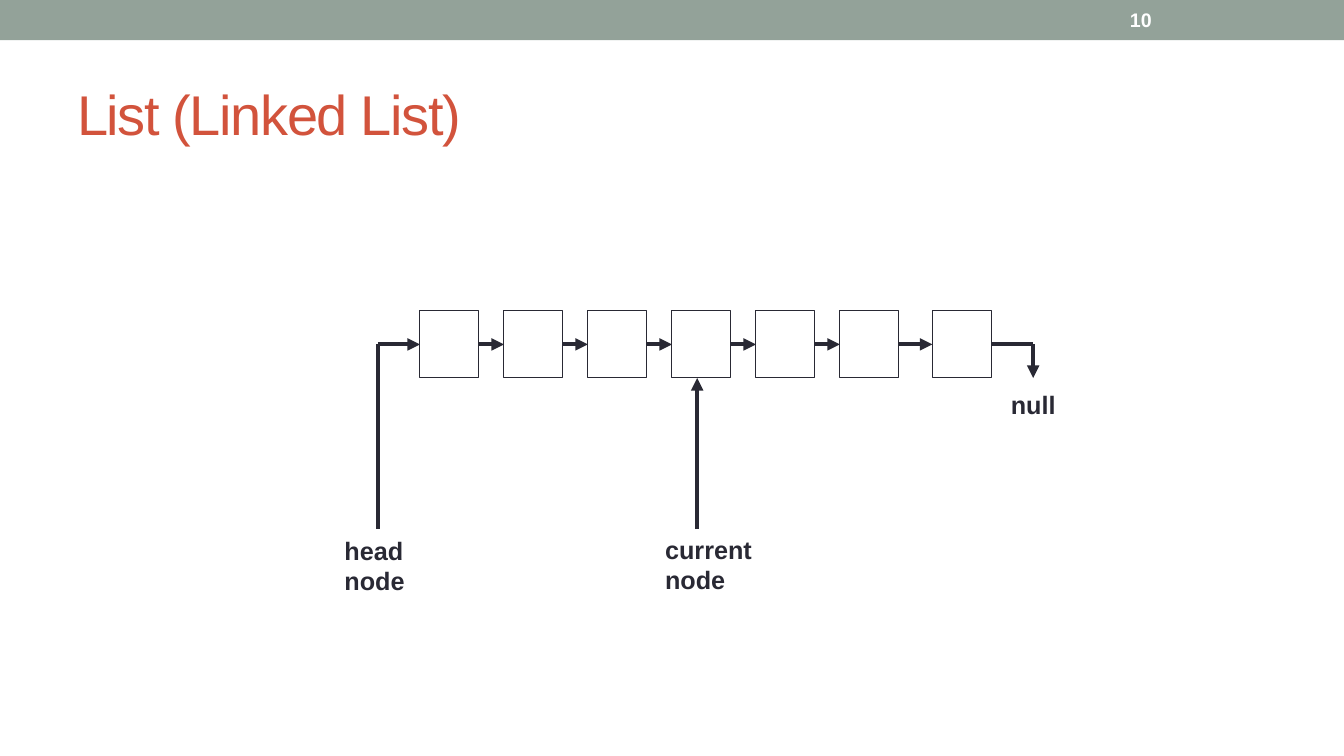
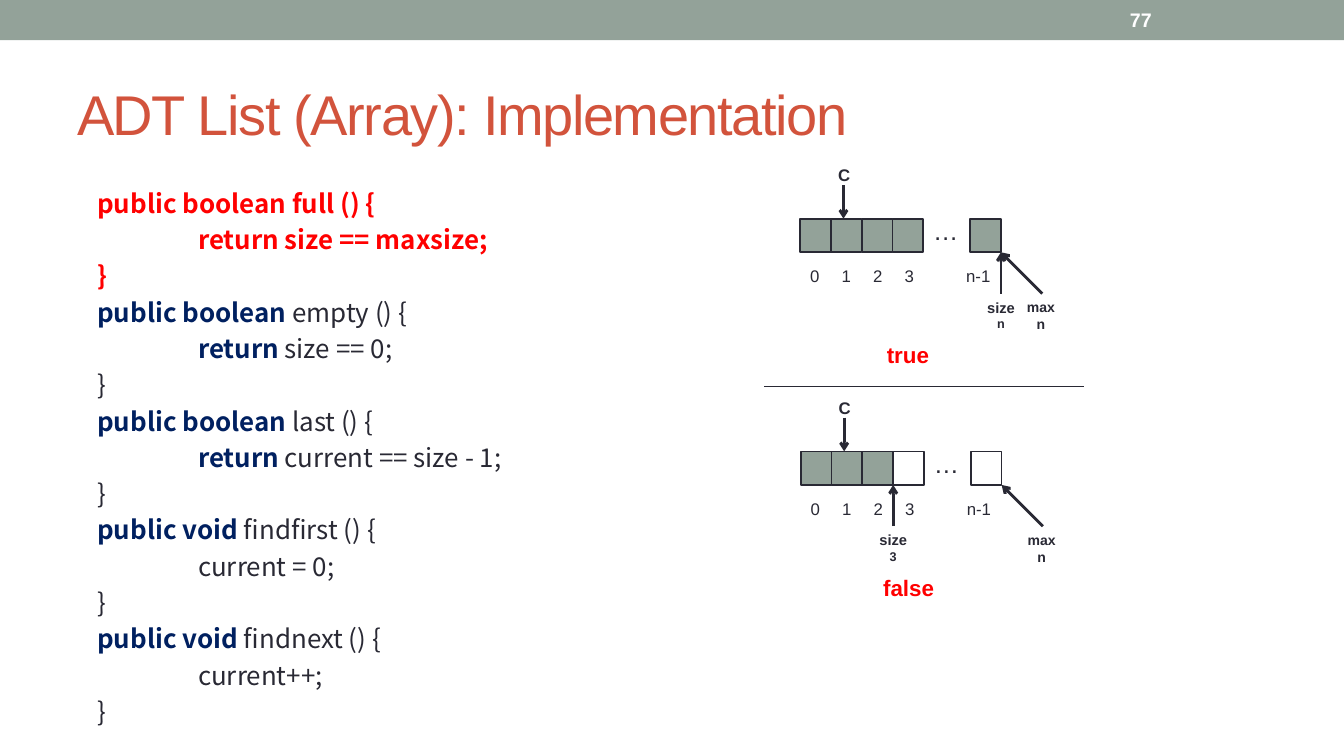
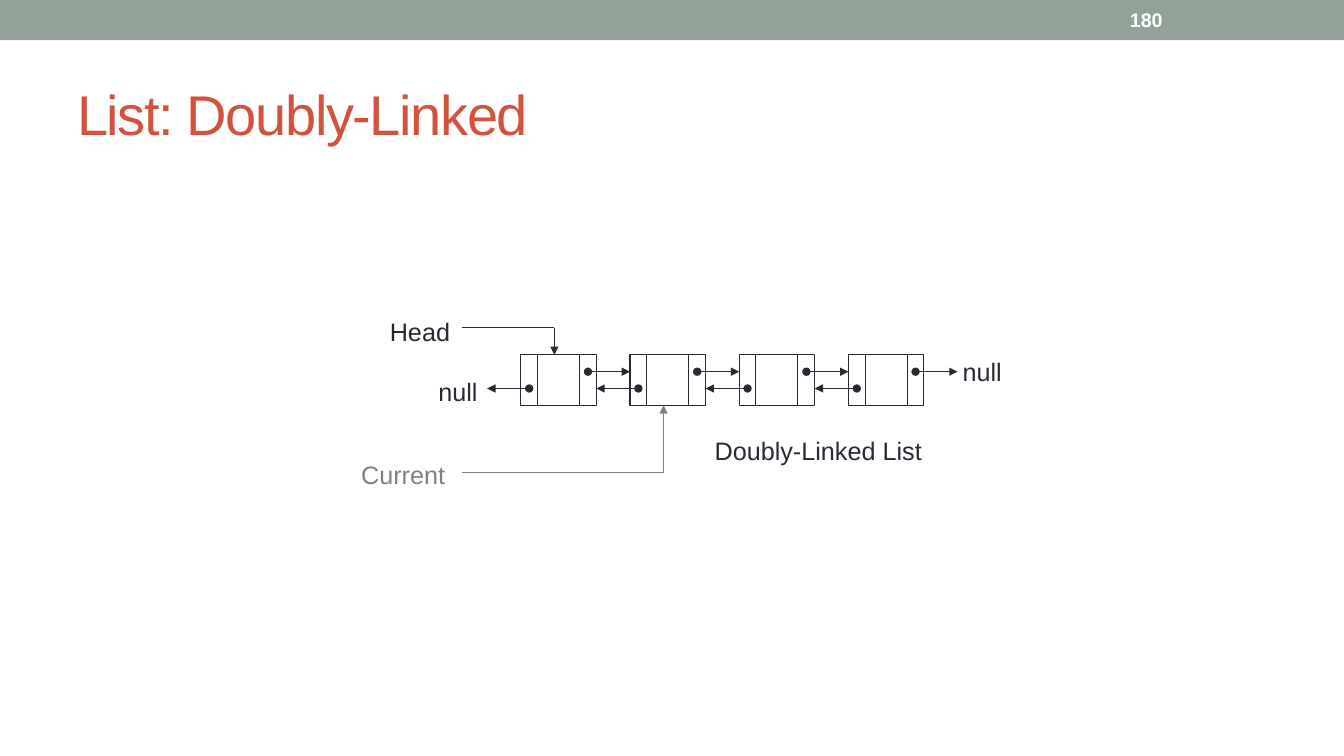
from lxml.etree import SubElement
from pptx import Presentation
from pptx.dml.color import RGBColor
from pptx.enum.shapes import MSO_CONNECTOR, MSO_SHAPE
from pptx.enum.text import MSO_ANCHOR, PP_ALIGN
from pptx.oxml.ns import qn
from pptx.util import Pt

COLORS = {"sage": "93A299", "title": "D2533C", "ink": "292934", "gray": "808080",
          "white": "FFFFFF", "alert": "FF0000", "keyword": "002060"}
SLIDE_W, SLIDE_H = 960, 540
FONT, CODE_FONT = "Arial", "Noto Sans CJK SC"


def rgb(color):
    """Look up a named colour."""
    return RGBColor.from_string(COLORS[color])


def add_run(paragraph, text, size, color="ink", bold=False, font=FONT):
    """Append one formatted run."""
    run = paragraph.add_run()
    run.text = text
    run.font.name, run.font.size, run.font.bold = font, Pt(size), bold
    run.font.color.rgb = rgb(color)
    return run


def add_frame(slide, box, anchor=MSO_ANCHOR.TOP, wrap=False):
    """Add an empty text box and return its frame."""
    frame = slide.shapes.add_textbox(*map(Pt, box)).text_frame
    frame.word_wrap, frame.vertical_anchor = wrap, anchor
    return frame


def add_label(slide, box, lines, size, color="ink", bold=False,
              align=PP_ALIGN.LEFT, anchor=MSO_ANCHOR.TOP):
    """Add a label; size may be one number or one per line."""
    frame = add_frame(slide, box, anchor)
    sizes = size if isinstance(size, tuple) else (size,) * len(lines)
    for i, (line, points) in enumerate(zip(lines, sizes)):
        paragraph = frame.add_paragraph() if i else frame.paragraphs[0]
        paragraph.alignment = align
        add_run(paragraph, line, points, color, bold)


def add_rect(slide, box, fill=None, line_width=None):
    """Add a rectangle with an optional fill and outline."""
    rect = slide.shapes.add_shape(MSO_SHAPE.RECTANGLE, *map(Pt, box))
    rect.shadow.inherit = False
    if fill:
        rect.fill.solid()
        rect.fill.fore_color.rgb = rgb(fill)
    else:
        rect.fill.background()
    if line_width:
        rect.line.color.rgb = rgb("ink")
        rect.line.width = Pt(line_width)
    else:
        rect.line.fill.background()


def add_line(slide, start, end, width=0.75, color="ink", head=None, tail=None):
    """Add a straight line, with optional ends at start and end."""
    connector = slide.shapes.add_connector(MSO_CONNECTOR.STRAIGHT, *map(Pt, start + end))
    connector.line.color.rgb = rgb(color)
    connector.line.width = Pt(width)
    properties = connector.element.spPr
    outline = properties.find(qn("a:ln"))
    for tag, kind in (("a:headEnd", head), ("a:tailEnd", tail)):
        if kind:
            SubElement(outline, qn(tag)).set("type", kind)
    SubElement(properties, qn("a:effectLst"))


def add_base(deck, title, number):
    """Start a slide with its band, title and slide number."""
    slide = deck.slides.add_slide(deck.slide_layouts[6])
    add_rect(slide, (0, 0, SLIDE_W, 28.8), "sage")
    heading = add_frame(slide, (48, 42, 864, 78), MSO_ANCHOR.MIDDLE, wrap=True)
    run = add_run(heading.paragraphs[0], title, 40, "title")
    run.font._element.set("spc", "-100")
    page = add_frame(slide, (800, 1.4, 112, 26), MSO_ANCHOR.MIDDLE, wrap=True)
    add_run(page.paragraphs[0], number, 14, "white", True)
    return slide


def draw_linked_list(slide, left, top):
    """Draw a singly linked chain with head, current and null."""
    node_w, node_h, thick = 42, 48, 3
    middle, bottom, label_top = top + node_h / 2, top + node_h, top + 156
    nodes = [left + 30 + 60 * i for i in range(6)] + [left + 396]
    starts = [left] + [x + node_w for x in nodes[:-1]]
    for start, node in zip(starts, nodes):
        add_rect(slide, (node, top, node_w, node_h), line_width=0.75)
        add_line(slide, (start, middle), (node, middle), thick, tail="triangle")
    end = left + 468
    add_line(slide, (nodes[-1] + node_w, middle), (end, middle), thick)
    add_line(slide, (end, middle), (end, bottom), thick, tail="triangle")
    add_line(slide, (left, middle), (left, label_top), thick)
    current = left + 228
    add_line(slide, (current, label_top), (current, bottom), thick, tail="triangle")
    add_label(slide, (end - 23, bottom + 4.5, 47.5, 29), ["null"], 18, bold=True)
    add_label(slide, (left - 31, label_top + 1, 58, 51), ["head", "node"], 18, bold=True)
    add_label(slide, (current - 30, label_top, 79, 51), ["current", "node"], 18, bold=True)


def draw_code(slide, box, lines):
    """Set code lines of (nested, [(text, style), ...])."""
    frame = add_frame(slide, box, wrap=True)
    for i, (nested, pieces) in enumerate(lines):
        paragraph = frame.add_paragraph() if i else frame.paragraphs[0]
        paragraph.line_spacing = Pt(25.95)
        paragraph._p.get_or_add_pPr().set("marL", str(Pt(86.4 if nested else 14.4)))
        for text, style in pieces:
            add_run(paragraph, text, 18.5, style, style != "ink", CODE_FONT)


def draw_array(slide, left, top, filled, size_cell, size, verdict):
    """Draw an array state; size points at the left edge of size_cell or the end."""
    cell_w, cell_h, last = 22, 24, 121.5
    offsets = [cell_w * i for i in range(4)] + [last]
    for i, x in enumerate(offsets):
        add_rect(slide, (left + x, top, cell_w, cell_h),
                 "sage" if i < filled else None, 1.25)
    add_label(slide, (left + 88, top - 6, 32.4, 29), ["…"], 18)
    for i in range(4):
        add_label(slide, (left + 22.5 * i, top + 30, 21, 21.6), [str(i)], 12)
    add_label(slide, (left + 111.5, top + 30, 32, 21.6), ["n-1"], 12)

    cursor, end = left + 31, left + last + cell_w
    size_x = end if size_cell is None else left + offsets[size_cell]
    bottom, label_top = top + cell_h, top + 53.5
    add_line(slide, (cursor, top - 24), (cursor, top), 2, tail="arrow")
    add_label(slide, (cursor - 11, top - 42, 23, 21.6), ["C"], 12, bold=True)
    add_line(slide, (size_x, label_top), (size_x, bottom), 2, tail="arrow")
    add_line(slide, (end + 29.5, label_top), (end, bottom), 2, tail="arrow")
    add_label(slide, (size_x - 20, label_top, 40, 31), ["size", size], (10.5, 9),
              bold=True, align=PP_ALIGN.CENTER)
    add_label(slide, (end + 8.5, label_top, 40, 41), ["max", "n"], 10,
              bold=True, align=PP_ALIGN.CENTER)
    add_label(slide, (left + 42, top + 84, 70, 26.6), [verdict], 16, "alert", True,
              PP_ALIGN.CENTER)


def draw_doubly_linked(slide, left, top):
    """Draw four nodes linked both ways, with head, current and labels."""
    pitch, link_w, data_w, height = 78, 12, 30, 36
    next_y, prev_y, bottom = top + 12, top + 24, top + height
    for i in range(4):
        x = left + pitch * i
        for offset, width in ((0, link_w), (link_w, data_w), (link_w + data_w, link_w)):
            add_rect(slide, (x + offset, top, width, height), line_width=0.75)
        add_line(slide, (x + 48, next_y), (x + pitch, next_y), head="oval", tail="triangle")
        add_line(slide, (x - 24, prev_y), (x + 6, prev_y), head="triangle", tail="oval")

    pointers = (("Head", "ink", left - 122, top - 31.5, top - 19.5, left + 24, top),
                ("Current", "gray", left - 134, top + 70.5, top + 84, left + 102, bottom))
    for name, color, label_x, label_y, y, target_x, target_y in pointers:
        add_label(slide, (label_x, label_y, 100, 30), [name], 18, color,
                  align=PP_ALIGN.CENTER, anchor=MSO_ANCHOR.MIDDLE)
        add_line(slide, (left - 42, y), (target_x, y), color=color)
        add_line(slide, (target_x, y), (target_x, target_y), color=color, tail="triangle")
    for x, y in ((left + 308.5, top - 2.5), (left - 66, top + 12)):
        add_label(slide, (x, y, 43, 29), ["null"], 18)
    add_label(slide, (left + 122.5, top + 54, 180, 29), ["Doubly-Linked List"], 18,
              align=PP_ALIGN.CENTER)


def method(declaration, name, body):
    """Lay out one method as three code lines."""
    return [(False, [(declaration, "keyword"), (name + " () {", "ink")]),
            (True, body), (False, [("}", "ink")])]


CODE = [
    (False, [("public boolean full () {", "alert")]),
    (True, [("return size == maxsize;", "alert")]),
    (False, [("}", "alert")]),
    *method("public boolean ", "empty", [("return", "keyword"), (" size == 0;", "ink")]),
    *method("public boolean ", "last",
            [("return", "keyword"), (" current == size - 1;", "ink")]),
    *method("public void ", "findfirst", [("current = 0;", "ink")]),
    *method("public void ", "findnext", [("current++;", "ink")]),
]

deck = Presentation()
deck.slide_width, deck.slide_height = Pt(SLIDE_W), Pt(SLIDE_H)

linked = add_base(deck, "List (Linked List)", "10")
draw_linked_list(linked, 270, 222)

implementation = add_base(deck, "ADT List (Array): Implementation", "77")
draw_code(implementation, (48, 126.5, 480, 398), CODE)
draw_array(implementation, 571.5, 156.2, 5, None, "n", "true")
draw_array(implementation, 572, 322.4, 3, 3, "3", "false")
add_line(implementation, (546, 276), (774, 276))

doubly = add_base(deck, "List: Doubly-Linked", "180")
draw_doubly_linked(doubly, 372, 253.5)

deck.save("out.pptx")
